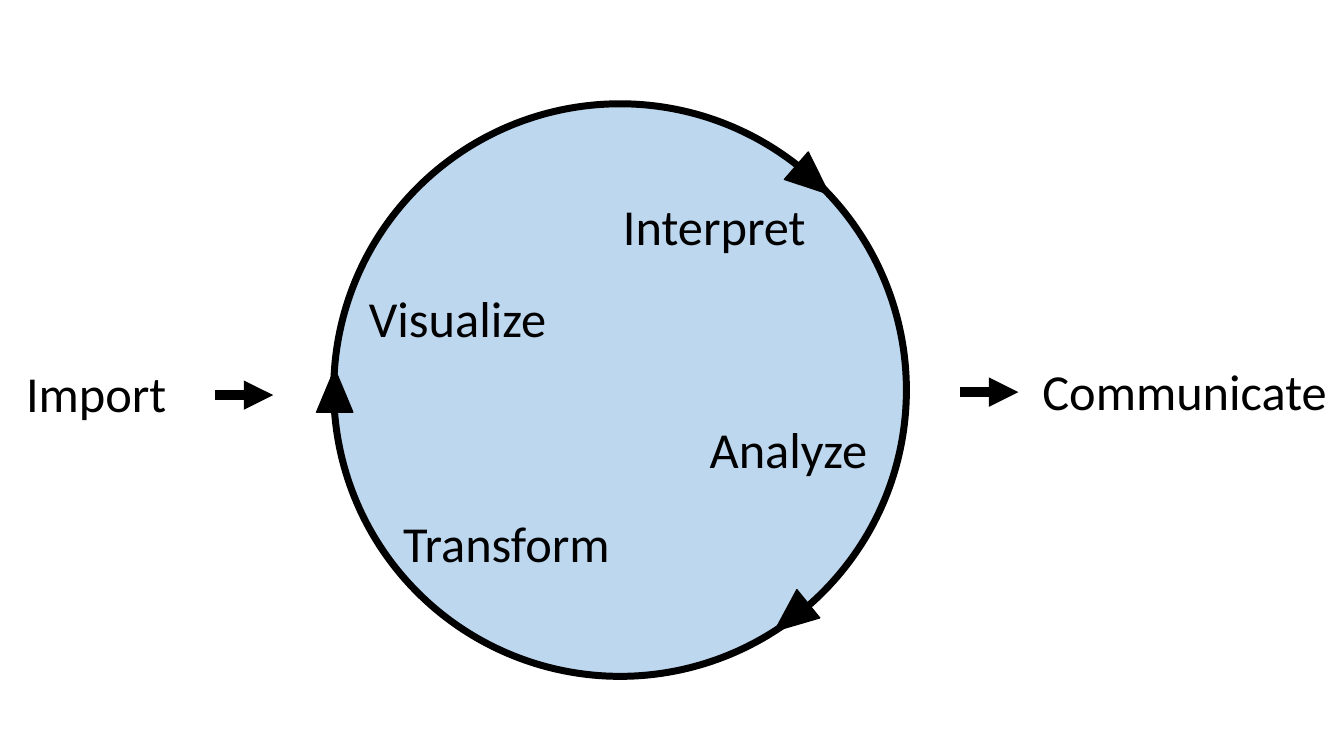
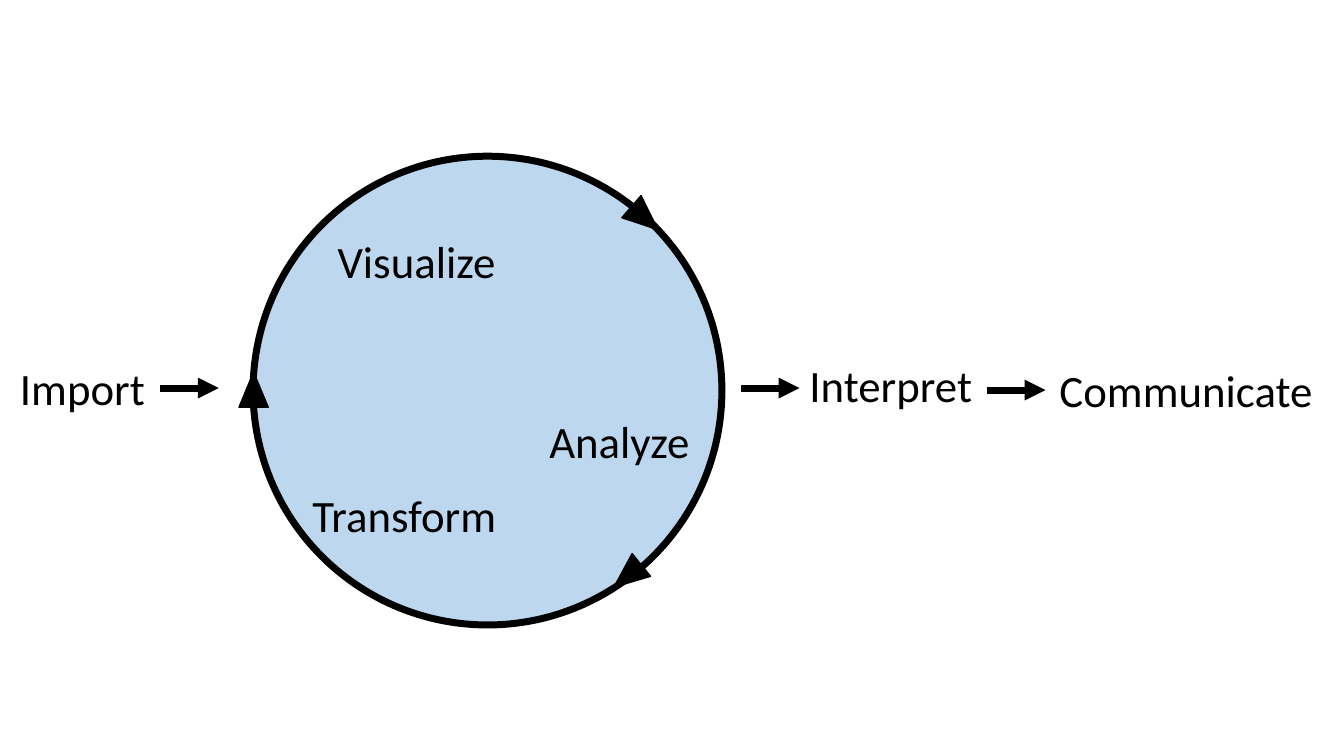
from lxml import etree
from pptx import Presentation
from pptx.dml.color import RGBColor
from pptx.enum.shapes import MSO_CONNECTOR, MSO_SHAPE
from pptx.enum.text import MSO_AUTO_SIZE
from pptx.oxml.ns import qn
from pptx.util import Inches, Pt

STRAIGHT = MSO_CONNECTOR.STRAIGHT
OVAL, TRIANGLE = MSO_SHAPE.OVAL, MSO_SHAPE.ISOSCELES_TRIANGLE
GROW = MSO_AUTO_SIZE.SHAPE_TO_FIT_TEXT

FONT = "Calibri"
BLACK, LIGHT_BLUE = "000000", "BDD7EE"
ARROW_LENGTH = 0.58
RING_WIDTH = 5
BLANK_LAYOUT = 6


def color(hex_value):
    return RGBColor.from_string(hex_value)


def add_label(shapes, text, left, top, width, size, font=FONT, ink=BLACK):
    """Add one line of text in a box that fits its height."""
    height = size * 1.22 / 72 + 0.1
    box = shapes.add_textbox(Inches(left), Inches(top), Inches(width), Inches(height))
    frame = box.text_frame
    frame.word_wrap = True
    frame.auto_size = GROW
    run = frame.paragraphs[0].add_run()
    run.text = text
    run.font.name = font
    run.font.size = Pt(size)
    run.font.color.rgb = color(ink)


def add_figure(shapes, kind, left, top, width, height, fill, line_width, rotation=0):
    """Add a filled preset shape with a black outline."""
    figure = shapes.add_shape(kind, Inches(left), Inches(top), Inches(width), Inches(height))
    figure.shadow.inherit = False
    figure.fill.solid()
    figure.fill.fore_color.rgb = color(fill)
    figure.line.color.rgb = color(BLACK)
    figure.line.width = Pt(line_width)
    figure.rotation = rotation


def add_arrow(shapes, left, y, line_width):
    """Add a short horizontal arrow pointing right."""
    arrow = shapes.add_connector(
        STRAIGHT, Inches(left), Inches(y), Inches(left + ARROW_LENGTH), Inches(y))
    arrow.line.color.rgb = color(BLACK)
    arrow.line.width = Pt(line_width)
    etree.SubElement(arrow.line._get_or_add_ln(), qn("a:tailEnd"), type="triangle")
    etree.SubElement(arrow._element.spPr, qn("a:effectLst"))


def add_cycle(shapes, left, top, diameter, head_size, heads, stages, text_size):
    """Add the ring, the arrowheads on it and the stages inside it."""
    add_figure(shapes, OVAL, left, top, diameter, diameter, LIGHT_BLUE, RING_WIDTH)
    for head_left, head_top, rotation in heads:
        add_figure(shapes, TRIANGLE, head_left, head_top, *head_size, BLACK, 1, rotation)
    add_labels(shapes, stages, text_size)


def add_labels(shapes, labels, size):
    for text, left, top, width in labels:
        add_label(shapes, text, left, top, width, size)


def build_interpret_inside(prs):
    """Interpretation is one of the stages of the cycle."""
    shapes = prs.slides.add_slide(prs.slide_layouts[BLANK_LAYOUT]).shapes
    size = 36
    add_cycle(
        shapes.add_group_shape().shapes, 3.31, 1.03, 5.68, (0.36, 0.43),
        heads=[(7.67, 5.91, 231), (3.14, 3.66, 0), (7.88, 1.57, 131)],
        stages=[("Visualize", 3.56, 2.8, 2.09), ("Transform", 3.9, 5.03, 2.31),
                ("Analyze", 6.94, 4.1, 1.96), ("Interpret", 6.08, 1.89, 2.12)],
        text_size=size)
    add_labels(shapes, [("Import", 0.16, 3.54, 1.76),
                        ("Communicate", 10.24, 3.52, 3.24)], size)
    for left, y in [(2.13, 3.92), (9.52, 3.89)]:
        add_arrow(shapes, left, y, 7)


def build_interpret_after(prs):
    """Interpretation follows the cycle."""
    shapes = prs.slides.add_slide(prs.slide_layouts[BLANK_LAYOUT]).shapes
    size = 32
    add_cycle(
        shapes.add_group_shape().shapes, 2.51, 1.55, 4.65, (0.29, 0.35),
        heads=[(6.08, 5.54, 231), (2.37, 3.69, 0), (6.25, 1.99, 131)],
        stages=[("Visualize", 3.25, 2.27, 1.8), ("Transform", 3, 4.79, 2.05),
                ("Analyze", 5.35, 4.06, 1.74)],
        text_size=size)
    add_labels(shapes, [("Import", 0.1, 3.53, 1.76), ("Interpret", 7.93, 3.5, 1.9),
                        ("Communicate", 10.41, 3.55, 2.8)], size)
    for left, y in [(1.59, 3.85), (7.35, 3.85), (9.79, 3.87)]:
        add_arrow(shapes, left, y, 5)


def main():
    prs = Presentation()
    prs.slide_width, prs.slide_height = Inches(13.33), Inches(7.5)
    build_interpret_inside(prs)
    build_interpret_after(prs)
    prs.save("out.pptx")


if __name__ == "__main__":
    main()
